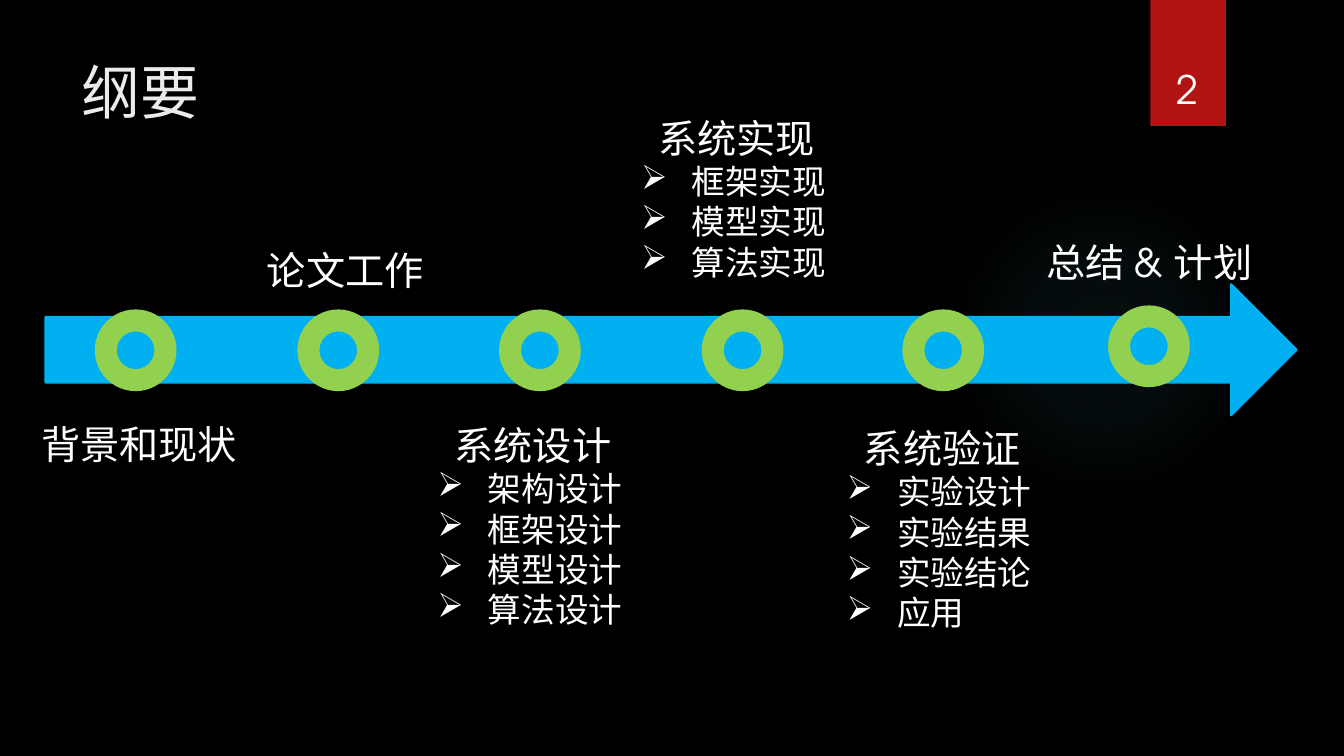
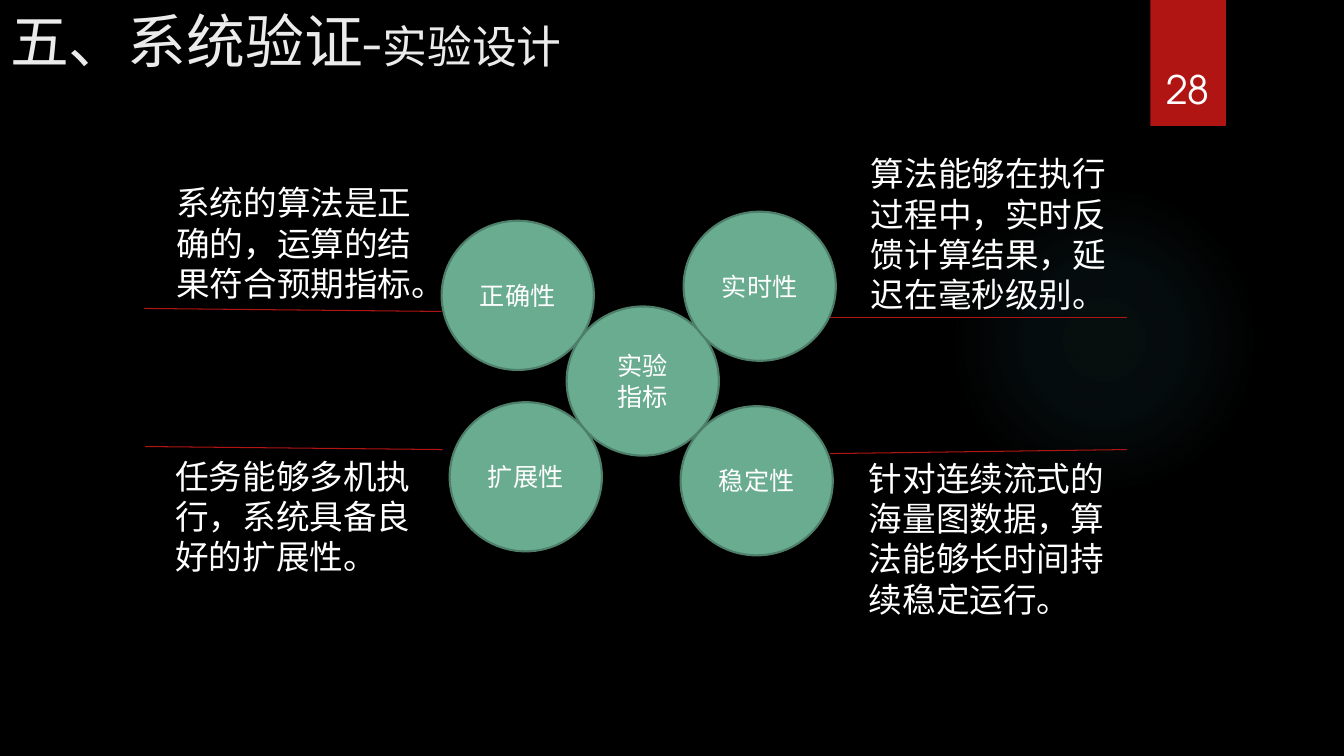
from dataclasses import dataclass

from lxml import etree
from pptx import Presentation
from pptx.dml.color import RGBColor
from pptx.enum.shapes import MSO_CONNECTOR, MSO_SHAPE
from pptx.enum.text import MSO_ANCHOR, MSO_AUTO_SIZE, PP_ALIGN
from pptx.oxml import parse_xml
from pptx.oxml.ns import nsdecls, qn
from pptx.util import Inches, Pt


@dataclass(frozen=True)
class Theme:
    font: str = "TeX Gyre Adventor"
    background: RGBColor = RGBColor(0x00, 0x00, 0x00)
    text: RGBColor = RGBColor(0xFF, 0xFF, 0xFF)
    title: RGBColor = RGBColor(0xEB, 0xEB, 0xEB)
    accent: RGBColor = RGBColor(0xB0, 0x15, 0x13)
    arrow: RGBColor = RGBColor(0x00, 0xB0, 0xF0)
    milestone: RGBColor = RGBColor(0x92, 0xD0, 0x50)
    circle: RGBColor = RGBColor(0x6A, 0xAC, 0x90)
    circle_edge: RGBColor = RGBColor(0x4E, 0x7F, 0x6B)
    glow: RGBColor = RGBColor(0x50, 0xB9, 0xC1)
    title_size: int = 42
    subtitle_size: int = 32
    heading_size: int = 28
    body_size: int = 24
    circle_size: int = 18


class Deck:
    def __init__(self, theme):
        self.theme = theme
        self.presentation = Presentation()
        self.presentation.slide_width = Inches(13.33)
        self.presentation.slide_height = Inches(7.5)
        fill = self.presentation.slide_master.background.fill
        fill.solid()
        fill.fore_color.rgb = theme.background
        self.slide = None

    def start_slide(self, number, title, left, top, subtitle=""):
        layout = self.presentation.slide_layouts[5]
        self.slide = self.presentation.slides.add_slide(layout)
        self.add_glow()
        self.add_shape(MSO_SHAPE.RECTANGLE, 11.41, 0, 0.75, 1.25, self.theme.accent)
        self.add_title(title, subtitle, left, top)
        frame = self.add_text_box(11.32, 0.32, 0.92, 0.84, [number], self.theme.heading_size)
        frame.auto_size = MSO_AUTO_SIZE.NONE
        frame.vertical_anchor = MSO_ANCHOR.BOTTOM
        frame.paragraphs[0].alignment = PP_ALIGN.CENTER

    def add_title(self, title, subtitle, left, top):
        placeholder = self.slide.shapes.title
        placeholder.left, placeholder.top = Inches(left), Inches(top)
        placeholder.width, placeholder.height = Inches(10.29), Inches(1.53)
        frame = placeholder.text_frame
        frame.auto_size = MSO_AUTO_SIZE.NONE
        frame.vertical_anchor = MSO_ANCHOR.TOP
        paragraph = frame.paragraphs[0]
        paragraph.alignment = PP_ALIGN.LEFT
        self.style(paragraph, self.theme.title_size, self.theme.title)
        paragraph.add_run().text = title
        if subtitle:
            run = paragraph.add_run()
            run.text = subtitle
            run.font.size = Pt(self.theme.subtitle_size)

    def add_glow(self):
        """Add the faint round light, which fades out towards its edge."""
        glow = self.add_shape(MSO_SHAPE.OVAL, 9.41, 1.83, 3.08, 3.08, self.theme.glow)
        stops = "".join(
            f'<a:gs pos="{position * 1000}"><a:srgbClr val="{self.theme.glow}">'
            f'<a:alpha val="{opacity * 1000}"/></a:srgbClr></a:gs>'
            for position, opacity in ((0, 7), (36, 6), (69, 0), (100, 0))
        )
        gradient = parse_xml(
            f'<a:gradFill {nsdecls("a")}><a:gsLst>{stops}</a:gsLst><a:path path="circle">'
            '<a:fillToRect l="50000" t="50000" r="50000" b="50000"/></a:path></a:gradFill>'
        )
        properties = glow._element.spPr
        properties.replace(properties.find(qn("a:solidFill")), gradient)

    def style(self, paragraph, size, color=None):
        paragraph.font.name = self.theme.font
        paragraph.font.size = Pt(size)
        paragraph.font.color.rgb = color or self.theme.text

    def fill_text(self, frame, lines, size):
        frame.word_wrap = True
        for index, line in enumerate(lines):
            paragraph = frame.add_paragraph() if index else frame.paragraphs[0]
            paragraph.text = line
            self.style(paragraph, size)

    def add_text_box(self, left, top, width, height, lines, size):
        box = self.slide.shapes.add_textbox(
            Inches(left), Inches(top), Inches(width), Inches(height))
        frame = box.text_frame
        self.fill_text(frame, lines, size)
        frame.auto_size = MSO_AUTO_SIZE.SHAPE_TO_FIT_TEXT
        return frame

    def add_outline(self, left, top, width, height, heading, items):
        """Add a heading with arrow-bulleted items below it."""
        frame = self.add_text_box(
            left, top, width, height, [heading, *items], self.theme.heading_size)
        if not items:
            return
        first, *rest = frame.paragraphs
        first._p.get_or_add_pPr().set("marL", str(Inches(0.17)))
        for paragraph in rest:
            paragraph.font.size = Pt(self.theme.body_size)
            properties = paragraph._p.get_or_add_pPr()
            properties.set("marL", str(Inches(0.5)))
            properties.set("indent", str(Inches(-0.5)))
            bullet = etree.Element(qn("a:buChar"), char="➢")
            properties.find(qn("a:defRPr")).addprevious(bullet)

    def add_shape(self, kind, left, top, width, height, color, edge=None):
        shape = self.slide.shapes.add_shape(
            kind, Inches(left), Inches(top), Inches(width), Inches(height))
        shape.shadow.inherit = False
        shape.fill.solid()
        shape.fill.fore_color.rgb = color
        if edge is None:
            shape.line.fill.background()
        else:
            shape.line.color.rgb = edge
            shape.line.width = Pt(1.5)
        return shape

    def add_circle(self, left, top, lines):
        circle = self.add_shape(MSO_SHAPE.FLOWCHART_CONNECTOR, left, top, 1.51, 1.48,
                                self.theme.circle, self.theme.circle_edge)
        frame = circle.text_frame
        frame.vertical_anchor = MSO_ANCHOR.MIDDLE
        self.fill_text(frame, lines, self.theme.circle_size)
        for paragraph in frame.paragraphs:
            paragraph.alignment = PP_ALIGN.CENTER

    def add_line(self, start, end):
        line = self.slide.shapes.add_connector(
            MSO_CONNECTOR.STRAIGHT, *(Inches(value) for value in (*start, *end)))
        line.line.color.rgb = self.theme.accent
        line.line.width = Pt(0.75)
        etree.SubElement(line._element.spPr, qn("a:effectLst"))


def build_outline_slide(deck):
    theme = deck.theme
    deck.start_slide("2", "纲要", 0.71, 0.5)
    deck.add_shape(MSO_SHAPE.RIGHT_ARROW, 0.45, 2.82, 12.41, 1.3, theme.arrow, theme.arrow)
    # Milestone position, label box, heading, items
    stages = [
        ((0.95, 3.08), (0.31, 4.12, 2.23, 0.57), "背景和现状", []),
        ((2.96, 3.08), (2.55, 2.39, 2.23, 0.57), "论文工作", []),
        ((4.96, 3.08), (4.24, 4.13, 2.23, 2.19), "系统设计",
         ["架构设计", "框架设计", "模型设计", "算法设计"]),
        ((6.97, 3.08), (6.26, 1.08, 2.23, 2.19), "系统实现",
         ["框架实现", "模型实现", "算法实现"]),
        ((8.96, 3.08), (8.3, 4.16, 2.23, 2.19), "系统验证",
         ["实验设计", "实验结果", "实验结论", "应用"]),
        ((11, 3.04), (10.28, 2.32, 2.54, 0.57), "总结 & 计划", []),
    ]
    for milestone, label, heading, items in stages:
        deck.add_shape(MSO_SHAPE.DONUT, *milestone, 0.79, 0.79,
                       theme.milestone, theme.milestone)
        deck.add_outline(*label, heading, items)


def build_indicator_slide(deck):
    deck.start_slide("28", "五、系统验证-", 0, 0, subtitle="实验设计")
    deck.add_circle(5.62, 3.04, ["实验", "指标"])
    # Circle position, name, description box, description, line ends
    indicators = [
        ((6.78, 2.1), "实时性", (8.54, 1.47, 2.84, 1.72),
         "算法能够在执行过程中，实时反馈计算结果，延迟在毫秒级别。",
         (11.18, 3.15), (8.23, 3.15)),
        ((6.75, 4.03), "稳定性", (8.52, 4.49, 2.84, 1.72),
         "针对连续流式的海量图数据，算法能够长时间持续稳定运行。",
         (11.18, 4.46), (8.23, 4.5)),
        ((4.38, 2.19), "正确性", (1.65, 1.76, 2.84, 1.31),
         "系统的算法是正确的，运算的结果符合预期指标。",
         (4.38, 3.09), (1.43, 3.06)),
        ((4.46, 3.99), "扩展性", (1.64, 4.47, 2.84, 1.31),
         "任务能够多机执行，系统具备良好的扩展性。",
         (4.39, 4.46), (1.44, 4.43)),
    ]
    for position, name, box, description, start, end in indicators:
        deck.add_circle(*position, [name])
        deck.add_text_box(*box, [description], deck.theme.body_size)
        deck.add_line(start, end)


def main():
    deck = Deck(Theme())
    build_outline_slide(deck)
    build_indicator_slide(deck)
    deck.presentation.save("out.pptx")


if __name__ == "__main__":
    main()
